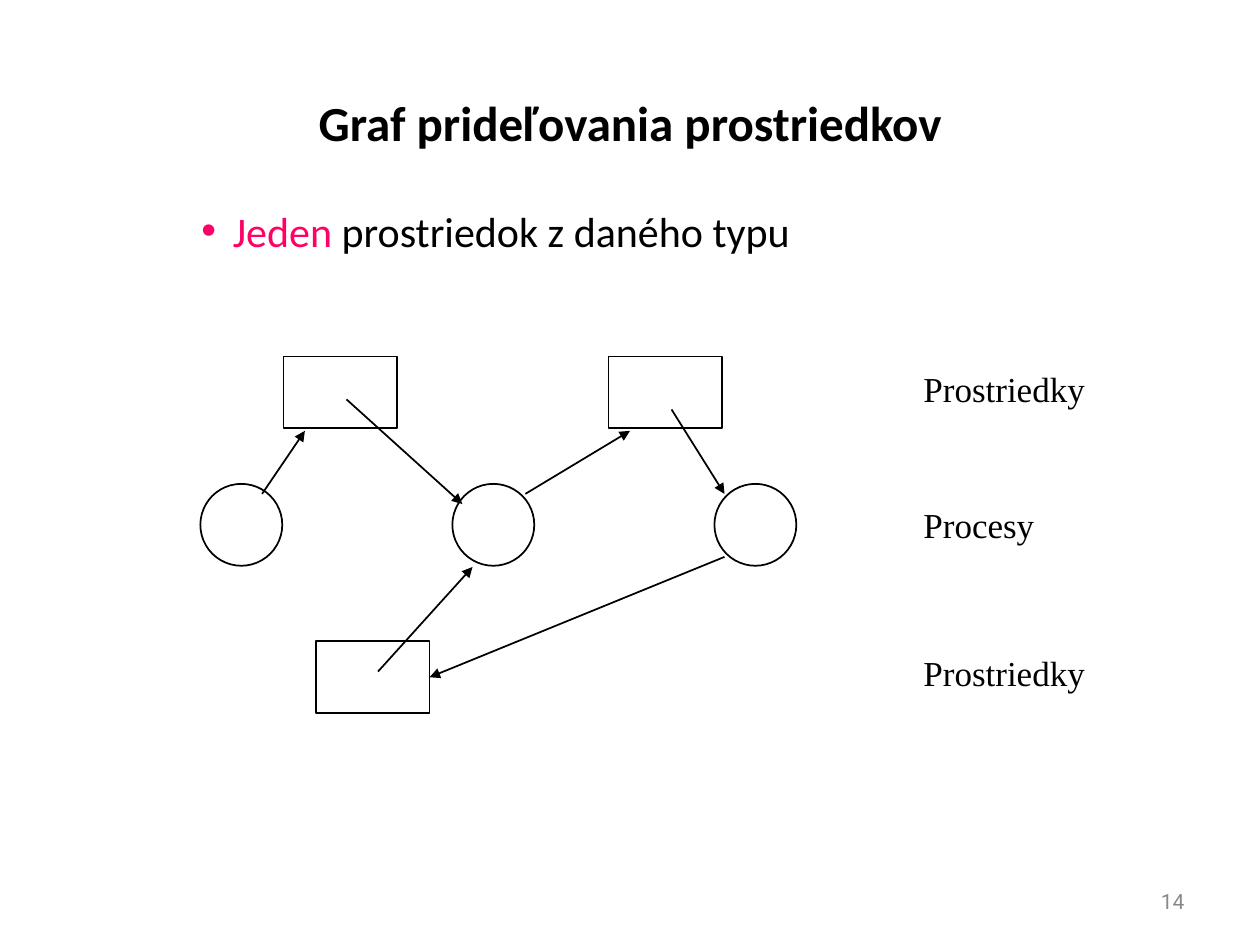
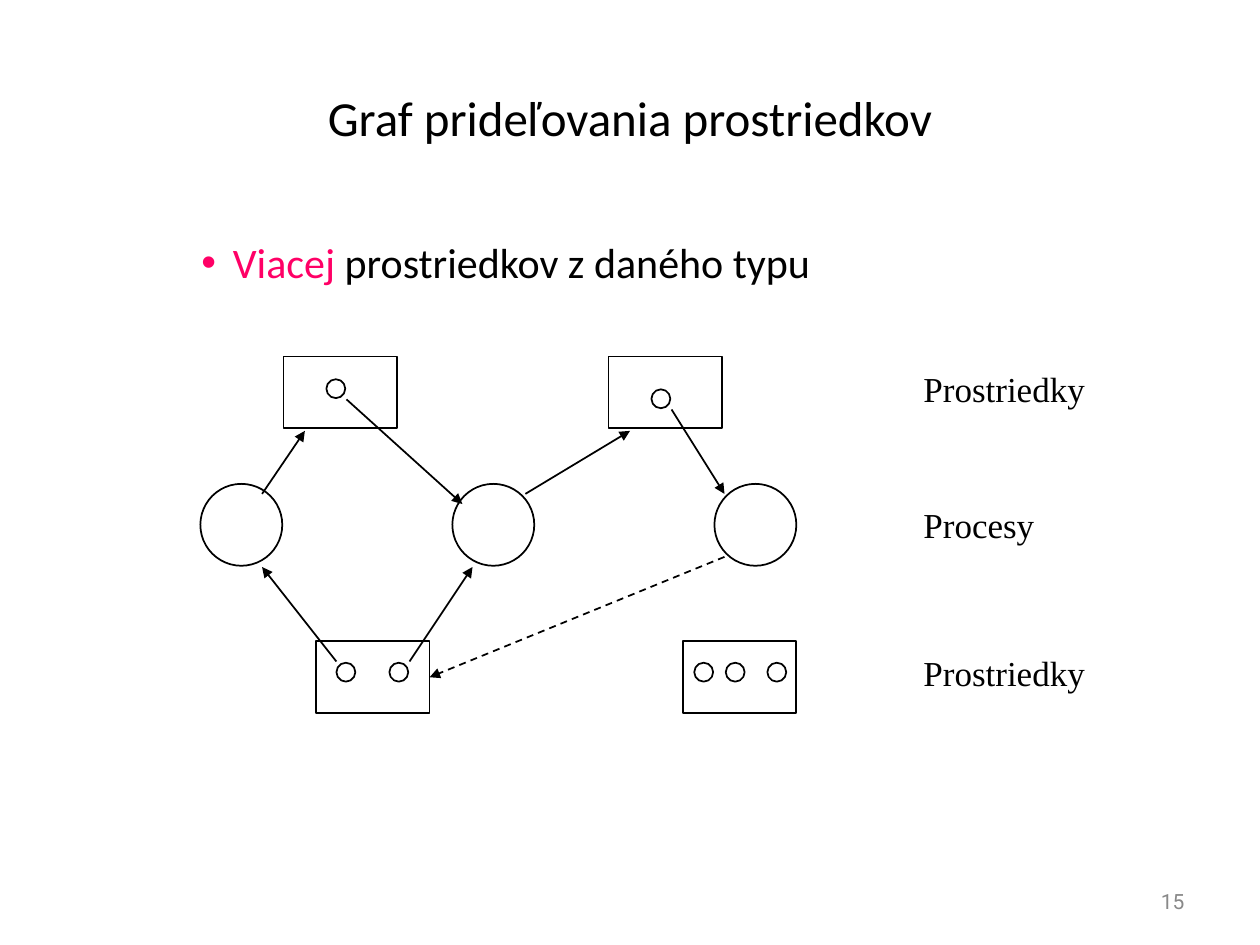
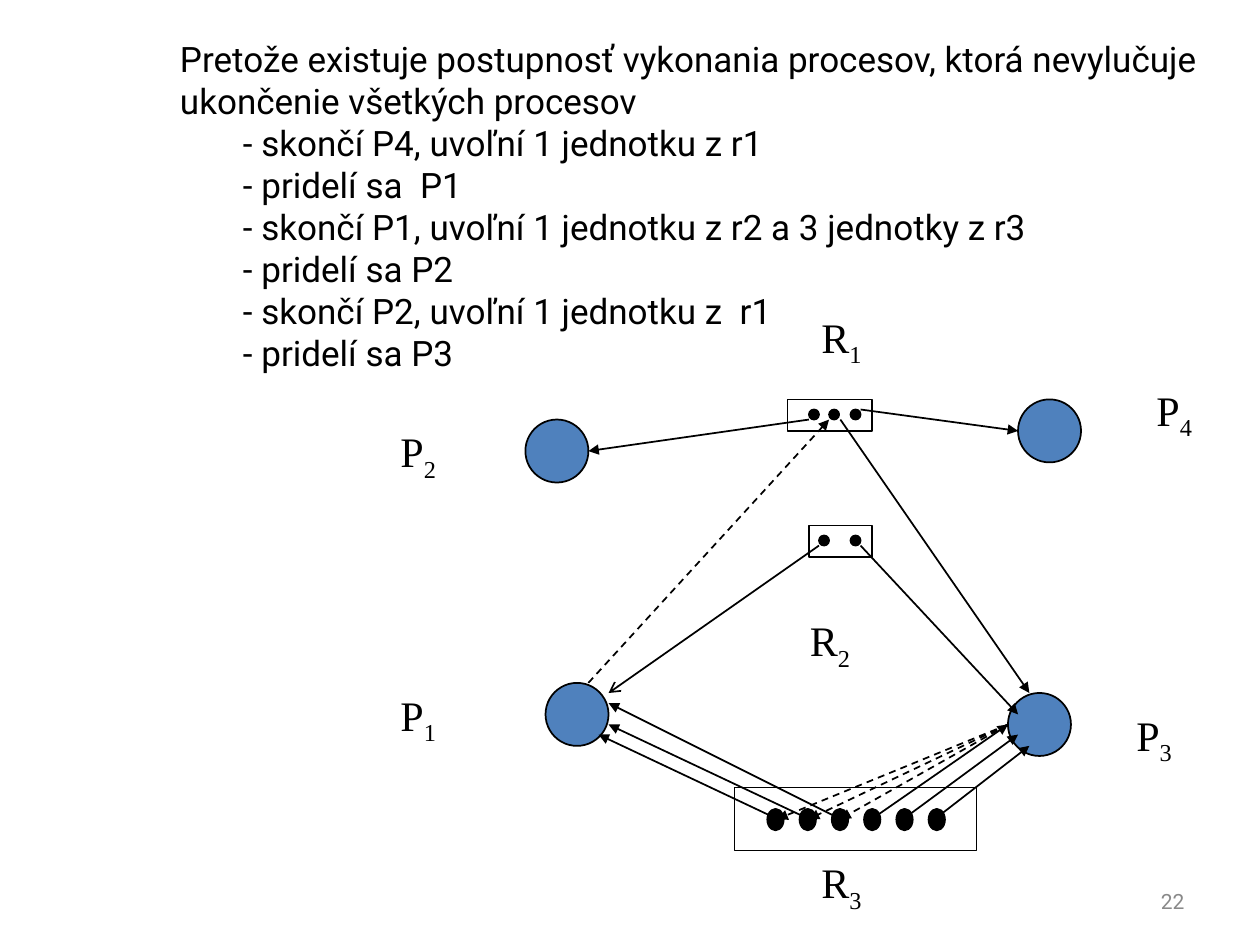
from dataclasses import dataclass

from pptx import Presentation
from pptx.dml.color import RGBColor
from pptx.enum.dml import MSO_LINE
from pptx.enum.shapes import MSO_CONNECTOR, MSO_SHAPE
from pptx.enum.text import MSO_ANCHOR as Anchor, MSO_AUTO_SIZE as AutoSize, PP_ALIGN as Align
from pptx.oxml.ns import qn
from pptx.oxml.xmlchemy import OxmlElement
from pptx.util import Inches, Pt


@dataclass(frozen=True)
class Theme:
    black: str = "000000"
    white: str = "FFFFFF"
    pink: str = "FF0066"
    blue: str = "4F81BD"
    gray: str = "898989"
    heading_font: str = "Calibri"
    body_font: str = "Roboto"
    label_font: str = "Times New Roman"
    title_size: int = 28
    bullet_size: int = 24
    symbol_size: int = 24
    body_size: int = 20
    label_size: int = 20
    footer_size: int = 12
    line_width: int = 1


class Deck:
    def __init__(self, theme):
        self.theme = theme
        self.presentation = Presentation()
        self.presentation.slide_width = Inches(10)
        self.presentation.slide_height = Inches(7.5)
        self.slide = None

    def add_slide(self, number):
        self.slide = self.presentation.slides.add_slide(self.presentation.slide_layouts[6])
        frame = self.text_box(7.17, 6.95, 2.33, 0.4, str(number), Anchor.MIDDLE)
        frame.paragraphs[0].alignment = Align.RIGHT
        self.style(frame.paragraphs[0], self.theme.body_font, self.theme.footer_size, self.theme.gray)

    def text_box(self, left, top, width, height, text, anchor=Anchor.TOP):
        box = self.slide.shapes.add_textbox(Inches(left), Inches(top), Inches(width), Inches(height))
        frame = box.text_frame
        frame.word_wrap = True
        frame.vertical_anchor = anchor
        frame.text = text
        return frame

    def style(self, paragraph, font_name, size, color, bold=False):
        for run in paragraph.runs:
            font = run.font
            font.name = font_name
            font.size = Pt(size)
            font.bold = bold
            font.color.rgb = RGBColor.from_string(color)

    def indent(self, paragraph, level, left, first_line=0):
        paragraph.level = level
        properties = paragraph._p.get_or_add_pPr()
        properties.set("marL", str(Inches(left)))
        properties.set("indent", str(Inches(first_line)))
        return properties

    def title(self, text, top, height, bold=False):
        paragraph = self.text_box(0.5, top, 9, height, text, Anchor.MIDDLE).paragraphs[0]
        paragraph.alignment = Align.CENTER
        self.style(paragraph, self.theme.heading_font, self.theme.title_size, self.theme.black, bold)

    def bullet(self, keyword, rest, top, height):
        paragraph = self.text_box(0.5, top, 9, height, keyword).paragraphs[0]
        paragraph.add_run().text = rest
        paragraph.space_before = Pt(6)
        self.style(paragraph, self.theme.heading_font, self.theme.bullet_size, self.theme.black)
        paragraph.runs[0].font.color.rgb = RGBColor.from_string(self.theme.pink)
        properties = self.indent(paragraph, 1, 1.25, -0.25)
        bullet_color = OxmlElement("a:buClr")
        color = OxmlElement("a:srgbClr")
        color.set("val", self.theme.pink)
        bullet_color.append(color)
        bullet_font = OxmlElement("a:buFont")
        bullet_font.set("typeface", "Arial")
        character = OxmlElement("a:buChar")
        character.set("char", "•")
        properties.extend([bullet_color, bullet_font, character])

    def outline(self, left, top, lines):
        frame = self.text_box(left, top, 9.42, 3.28, "\n".join(lines))
        for index, paragraph in enumerate(frame.paragraphs):
            self.indent(paragraph, 2 if index else 1, 1.5 if index else 1)
            self.style(paragraph, self.theme.body_font, self.theme.body_size, self.theme.black)

    def row_label(self, text, top, width):
        frame = self.text_box(7.23, top, width, 0.43, text)
        frame.word_wrap = False
        frame.auto_size = AutoSize.SHAPE_TO_FIT_TEXT
        self.style(frame.paragraphs[0], self.theme.label_font, self.theme.label_size, self.theme.black)

    def symbol(self, letter, index, left, top, width):
        paragraph = self.text_box(left, top, width, 0.56, letter).paragraphs[0]
        paragraph.space_before = Pt(15)
        subscript = paragraph.add_run()
        subscript.text = index
        self.style(paragraph, self.theme.label_font, self.theme.symbol_size, self.theme.black)
        subscript._r.get_or_add_rPr().set("baseline", "-25000")

    def node(self, kind, left, top, width, height, fill=None):
        shape = self.slide.shapes.add_shape(
            kind, Inches(left), Inches(top), Inches(width), Inches(height))
        shape.shadow.inherit = False
        if fill:
            shape.fill.solid()
            shape.fill.fore_color.rgb = RGBColor.from_string(fill)
        else:
            shape.fill.background()
        shape.line.color.rgb = RGBColor.from_string(self.theme.black)
        shape.line.width = Pt(self.theme.line_width)
        return shape

    def box(self, left, top, width, height, fill=None):
        return self.node(MSO_SHAPE.RECTANGLE, left, top, width, height, fill)

    def circle(self, left, top, width, height=None, fill=None):
        return self.node(MSO_SHAPE.OVAL, left, top, width, height or width, fill)

    def arrow(self, start, end, dashed=False, head="triangle"):
        connector = self.slide.shapes.add_connector(
            MSO_CONNECTOR.STRAIGHT, *(Inches(value) for value in (*start, *end)))
        connector.line.color.rgb = RGBColor.from_string(self.theme.black)
        connector.line.width = Pt(self.theme.line_width)
        if dashed:
            connector.line.dash_style = MSO_LINE.DASH
        arrowhead = OxmlElement("a:tailEnd")
        arrowhead.set("type", head)
        properties = connector._element.spPr
        properties.find(qn("a:ln")).append(arrowhead)
        properties.append(OxmlElement("a:effectLst"))
        return connector


def draw_allocation_graph(deck, unit_positions, extra_arrows, fill=None, request_dashed=False):
    for left in (2.25, 4.83):
        deck.box(left, 2.83, 0.9, 0.57, fill)
    shared_resource = deck.box(2.51, 5.09, 0.9, 0.57, fill)
    for left, top in unit_positions:
        deck.circle(left, top, 0.15)
    for left in (1.59, 3.59, 5.67):
        deck.circle(left, 3.84, 0.65, fill=fill)
    common_arrows = [
        ((2.08, 3.92), (2.42, 3.42)),
        ((2.75, 3.17), (3.67, 4)),
        ((4.17, 3.92), (5, 3.42)),
        ((5.33, 3.25), (5.75, 3.92)),
    ]
    for start, end in common_arrows + extra_arrows:
        deck.arrow(start, end)
    request = deck.arrow((5.75, 4.42), (3.41, 5.38), request_dashed)
    request.end_connect(shared_resource, 3)
    for text, top, width in (("Prostriedky", 2.87, 1.48), ("Procesy", 3.95, 1.08),
                             ("Prostriedky", 5.12, 1.48)):
        deck.row_label(text, top, width)


def build_single_unit_slide(deck):
    deck.add_slide(14)
    deck.title("Graf prideľovania prostriedkov", 0.42, 1.1, bold=True)
    deck.bullet("Jeden", " prostriedok z daného typu", 1.58, 4.58)
    draw_allocation_graph(deck, [], [((3, 5.33), (3.75, 4.5))], deck.theme.white)


def build_multiple_unit_slide(deck):
    deck.add_slide(15)
    deck.title("Graf prideľovania prostriedkov", 0.3, 1.25)
    deck.bullet("Viacej", " prostriedkov z daného typu", 1.83, 4.83)
    deck.box(5.42, 5.09, 0.9, 0.57)
    units = [(2.59, 3.01), (5.17, 3.09)]
    units += [(left, 5.26) for left in (2.67, 3.09, 5.51, 5.76, 6.09)]
    releases = [((2.67, 5.25), (2.08, 4.5)), ((3.25, 5.25), (3.75, 4.5))]
    draw_allocation_graph(deck, units, releases, request_dashed=True)


def build_sequence_slide(deck):
    theme = deck.theme
    deck.add_slide(22)

    for left, top, width, height in ((6.25, 3.17, 0.67, 0.25), (6.42, 4.17, 0.5, 0.25),
                                     (5.83, 6.25, 1.92, 0.5)):
        deck.box(left, top, width, height, theme.white)
    small_units = [(6.42, 3.25), (6.58, 3.25), (6.75, 3.25), (6.5, 4.25), (6.75, 4.25)]
    for left, top in small_units:
        deck.circle(left, top, 0.08, fill=theme.black)
    for index in range(6):
        deck.circle(6.09 + index * 1.28 / 5, 6.42, 0.13, 0.17, theme.black)
    for left, top in ((4.33, 5.42), (4.17, 3.33), (8, 5.5), (8.08, 3.17)):
        deck.circle(left, top, 0.5, fill=theme.blue)

    for letter, index, left, top, width in (
            ("P", "1", 3.08, 5.42, 0.75), ("P", "2", 3.08, 3.33, 0.75),
            ("P", "3", 8.92, 5.58, 0.75), ("P", "4", 9.08, 3, 0.75),
            ("R", "1", 6.42, 2.42, 0.58), ("R", "2", 6.33, 4.83, 0.58),
            ("R", "3", 6.42, 6.75, 0.58)):
        deck.symbol(letter, index, left, top, width)

    for start, end in (
            ((6.42, 3.33), (4.67, 3.58)),
            ((6.67, 3.33), (8.17, 5.5)),
            ((6.83, 3.25), (8.08, 3.42)),
            ((6.83, 4.33), (8.08, 5.67))):
        deck.arrow(start, end)
    deck.arrow((6.5, 4.33), (4.83, 5.5), head="arrow")

    third_resource_targets = [(4.75, 5.83), (4.83, 5.75), (4.83, 5.58),
                              (8, 5.75), (8.08, 5.83), (8.17, 5.92)]
    for index, target in enumerate(third_resource_targets):
        unit = (6.17 + index * 0.25, 6.5)
        deck.arrow(unit, target)
        if index < 3:
            deck.arrow((8, 5.75), unit, dashed=True)
    deck.arrow((4.67, 5.42), (6.58, 3.33), dashed=True)

    deck.outline(0.33, 0.25, [
        "Pretože existuje postupnosť vykonania procesov, ktorá nevylučuje ukončenie všetkých procesov",
        "- skončí P4, uvoľní 1 jednotku z r1",
        "- pridelí sa  P1",
        "- skončí P1, uvoľní 1 jednotku z r2 a 3 jednotky z r3",
        "- pridelí sa P2",
        "- skončí P2, uvoľní 1 jednotku z  r1",
        "- pridelí sa P3",
    ])


def main():
    deck = Deck(Theme())
    build_single_unit_slide(deck)
    build_multiple_unit_slide(deck)
    build_sequence_slide(deck)
    deck.presentation.save("out.pptx")


if __name__ == "__main__":
    main()
